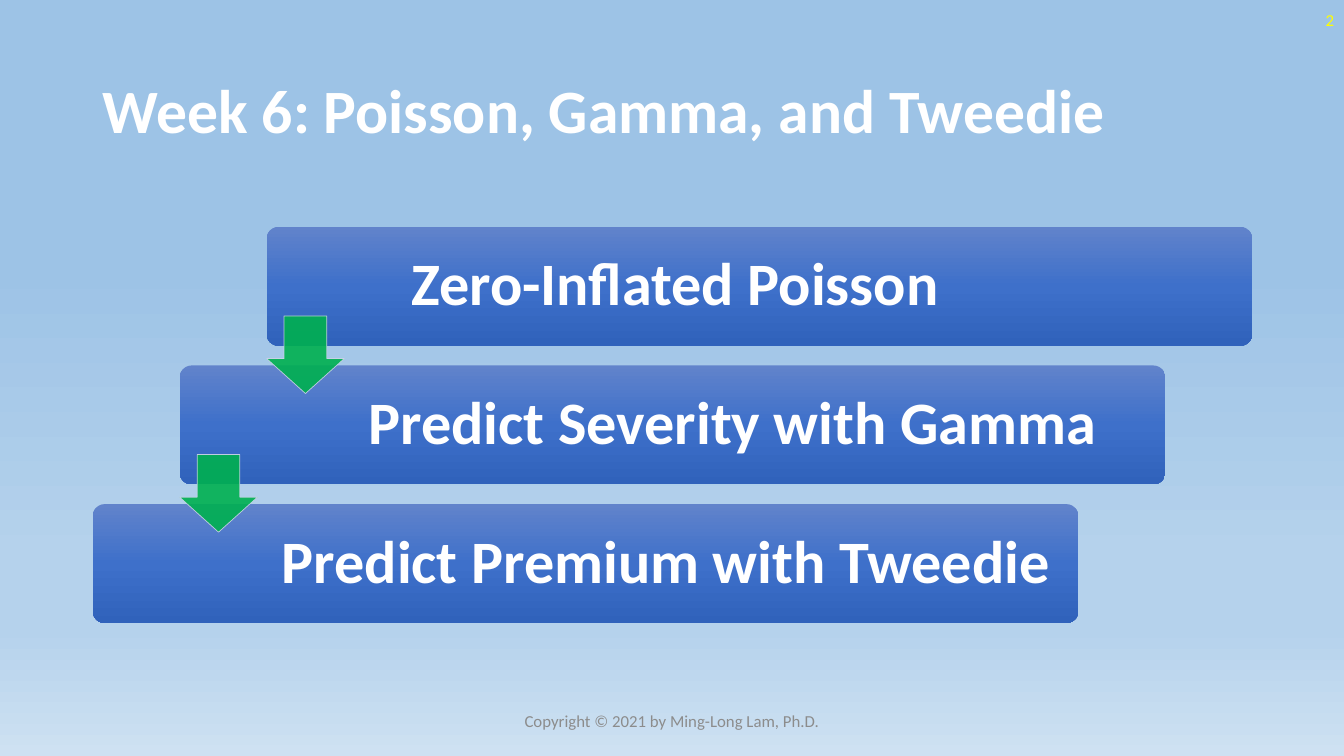
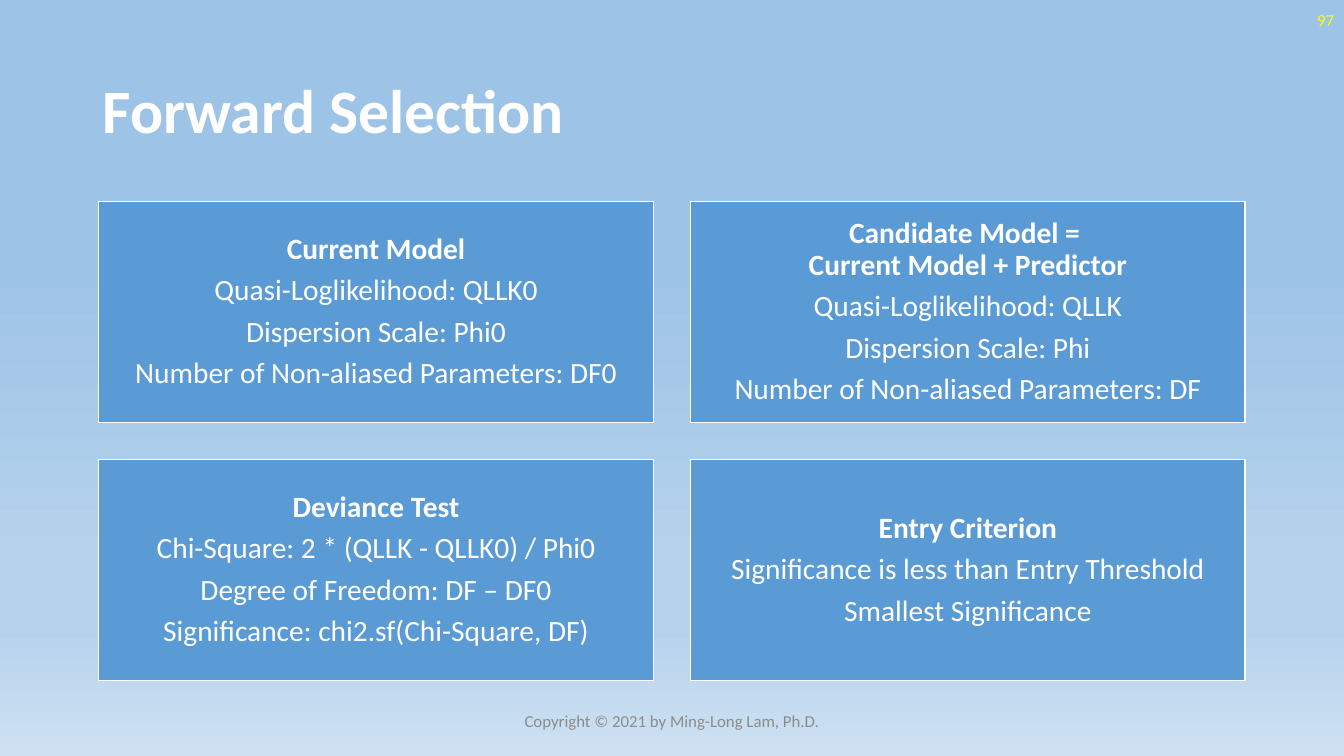
import pptx
import pptx.util
import pptx.dml.color
import pptx.enum.shapes
import pptx.enum.text
import pptx.oxml.ns
import lxml.etree

Inches, Pt = pptx.util.Inches, pptx.util.Pt
Align = pptx.enum.text.PP_ALIGN
Shape = pptx.enum.shapes.MSO_SHAPE
qn = pptx.oxml.ns.qn

WIDTH, HEIGHT = 13.33, 7.5
FONT = "Calibri"
WHITE, YELLOW, GREY = "FFFFFF", "FFFF00", "8C8C8C"
PANEL_BLUE, ARROW_GREEN, ARROW_EDGE = "5B9BD5", "00B050", "CFD5EA"
SKY = [(35, "9DC3E6"), (74, "B5D2EC"), (83, "B5D2EC"), (100, "CEE1F2")]
BAR_BLUES = [(0, "6183CB"), (50, "3E70CA"), (100, "3062BB")]
COPYRIGHT = "Copyright © 2021 by Ming-Long Lam, Ph.D."


def color(code):
    return pptx.dml.color.RGBColor.from_string(code)


def apply(target, values):
    for name, value in values.items():
        setattr(target, name, value)


def fill_gradient(fill, owner, stops):
    """Fill from top to bottom with (percent, colour) stops."""
    fill.gradient()
    fill.gradient_angle = 270
    stop_list = owner.find(".//" + qn("a:gsLst"))
    for stop in list(stop_list):
        stop_list.remove(stop)
    for percent, code in stops:
        stop = lxml.etree.SubElement(stop_list, qn("a:gs"), pos=str(percent * 1000))
        lxml.etree.SubElement(stop, qn("a:srgbClr"), val=code)


def set_opacity(owner, percent):
    for solid in owner.iter(qn("a:solidFill")):
        lxml.etree.SubElement(solid[0], qn("a:alpha"), val=str(percent * 1000))


def write(box, lines, size, code=WHITE, align=Align.LEFT, insets=(0.1, 0.05, 0.1, 0.05),
          spacing=1.0, after=0):
    """Write (text, bold) lines, vertically centred, into a box or shape."""
    frame = box.text_frame
    sides = ("margin_left", "margin_top", "margin_right", "margin_bottom")
    apply(frame, {side: Inches(inset) for side, inset in zip(sides, insets)})
    apply(frame, {"word_wrap": True, "vertical_anchor": pptx.enum.text.MSO_ANCHOR.MIDDLE})
    for index, (text, bold) in enumerate(lines):
        para = frame.add_paragraph() if index else frame.paragraphs[0]
        para.text = text
        apply(para, {"alignment": align, "line_spacing": spacing, "space_after": Pt(after)})
        for span in para.runs:
            apply(span.font, {"name": FONT, "size": Pt(size), "bold": bold})
            span.font.color.rgb = color(code)


def add_text(page, area, *args, **options):
    write(page.shapes.add_textbox(*map(Inches, area)), *args, **options)


def add_shape(page, kind, area, adjustments=()):
    shape = page.shapes.add_shape(kind, *map(Inches, area))
    shape.shadow.inherit = False
    for index, value in enumerate(adjustments):
        shape.adjustments[index] = value
    return shape


def paint(shape, fill, edge, width):
    shape.fill.solid()
    shape.fill.fore_color.rgb = color(fill)
    shape.line.color.rgb = color(edge)
    shape.line.width = Pt(width)


def add_page(deck, title, number):
    """Title, page number and footer shared by every slide."""
    page = deck.slides.add_slide(deck.slide_layouts[6])
    add_text(page, (0.92, 0.4, 11.5, 1.45), [(title, True)], 44, spacing=0.9)
    add_text(page, (WIDTH - 3, 0, 3, 0.4), [(number, False)], 12, YELLOW, Align.RIGHT)
    add_text(page, ((WIDTH - 4.5) / 2, 6.95, 4.5, 0.4), [(COPYRIGHT, False)], 12, GREY,
             Align.CENTER)
    return page


def add_staircase(page, area, steps):
    """Bars stepping down to the left, with an arrow from each to the next."""
    left, top, width, height = area
    bar_width, bar_height, arrow = width * 0.85, height * 0.3, 0.77
    shift = (width - bar_width) / (len(steps) - 1)
    pitch = (height - bar_height) / (len(steps) - 1)
    corners = [(left + width - bar_width - shift * index, top + pitch * index)
               for index in range(len(steps))]
    # Bars
    for (x, y), (text, indent) in zip(corners, steps):
        bar = add_shape(page, Shape.ROUNDED_RECTANGLE, (x, y, bar_width, bar_height), [0.1])
        fill_gradient(bar.fill, bar.element, BAR_BLUES)
        bar.line.fill.background()
        write(bar, [(text, True)], 43, insets=(indent, 0.18, 0.1, 0.18), spacing=0.9)
    # Arrows
    for x, y in corners[:-1]:
        pointer = add_shape(page, Shape.DOWN_ARROW,
                            (x, y + bar_height * 0.75, arrow, arrow))
        # The preset lists its head length first, then its shaft width
        pointer.adjustments[0], pointer.adjustments[1] = 0.55, 0.45
        paint(pointer, ARROW_GREEN, ARROW_EDGE, 0.5)
        set_opacity(pointer.element.spPr, 90)


def add_panels(page, area, panels, columns=2, gap=0.37):
    """Equal panels in a grid, each with a bold heading over plain lines."""
    left, top, width, height = area
    rows = -(-len(panels) // columns)
    panel_width = (width - gap * (columns - 1)) / columns
    panel_height = (height - gap * (rows - 1)) / rows
    for index, (heading, *lines) in enumerate(panels):
        row, column = divmod(index, columns)
        panel = add_shape(page, Shape.RECTANGLE,
                          (left + column * (panel_width + gap),
                           top + row * (panel_height + gap), panel_width, panel_height))
        paint(panel, PANEL_BLUE, WHITE, 1)
        write(panel, [(heading, True)] + [(line, False) for line in lines], 21,
              align=Align.CENTER, insets=(0.09,) * 4, spacing=0.9, after=7)


def main():
    deck = pptx.Presentation()
    apply(deck, {"slide_width": Inches(WIDTH), "slide_height": Inches(HEIGHT)})
    master = deck.slide_master
    fill_gradient(master.background.fill, master.element, SKY)

    # Topics of the week
    page = add_page(deck, "Week 6: Poisson, Gamma, and Tweedie", "2")
    add_staircase(page, (0.92, 2.25, 11.5, 3.93), [
        ("Zero-Inflated Poisson", 1.4),
        ("Predict Severity with Gamma", 1.84),
        ("Predict Premium with Tweedie", 1.84),
    ])

    # Forward selection
    page = add_page(deck, "Forward Selection", "97")
    add_panels(page, (0.98, 2, 11.37, 4.75), [
        ("Current Model", "Quasi-Loglikelihood: QLLK0", "Dispersion Scale: Phi0",
         "Number of Non-aliased Parameters: DF0"),
        ("Candidate Model = \vCurrent Model + Predictor", "Quasi-Loglikelihood: QLLK",
         "Dispersion Scale: Phi", "Number of Non-aliased Parameters: DF"),
        ("Deviance Test", "Chi-Square: 2 * (QLLK - QLLK0) / Phi0",
         "Degree of Freedom: DF – DF0", "Significance: chi2.sf(Chi-Square, DF)"),
        ("Entry Criterion", "Significance is less than Entry Threshold",
         "Smallest Significance"),
    ])
    deck.save("out.pptx")


if __name__ == "__main__":
    main()
